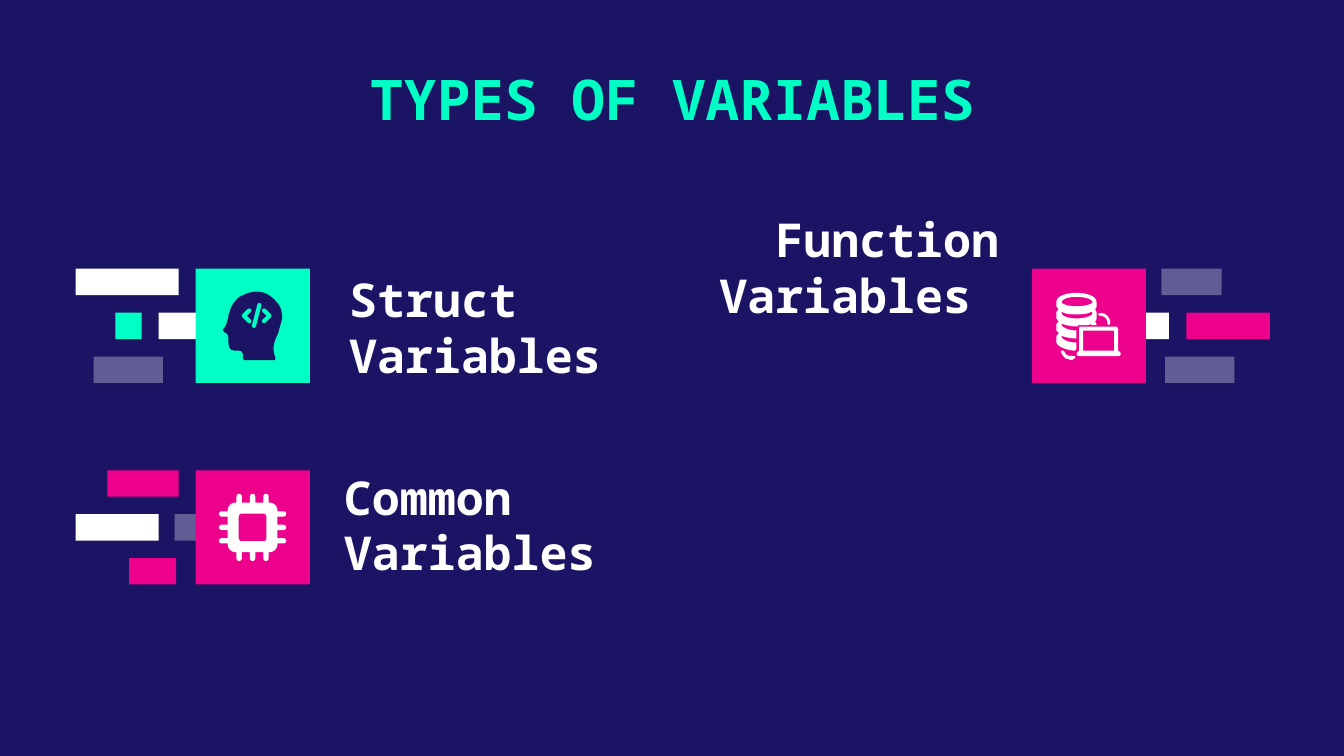
from math import cos, radians, sin

from lxml import etree
from pptx import Presentation
from pptx.dml.color import RGBColor
from pptx.enum.shapes import MSO_SHAPE
from pptx.enum.text import MSO_ANCHOR, PP_ALIGN
from pptx.oxml.ns import qn
from pptx.util import Cm, Pt

RECT = MSO_SHAPE.RECTANGLE
TOP, BOTTOM = MSO_ANCHOR.TOP, MSO_ANCHOR.BOTTOM
LEFT, RIGHT, CENTER = PP_ALIGN.LEFT, PP_ALIGN.RIGHT, PP_ALIGN.CENTER
FONT = "Noto Sans Mono"
COLORS = {"navy": "1B1464", "mint": "00FFC5", "pink": "EC008C", "white": "FFFFFF"}

# Lengths in cm. A bar is (line in its group, left, width, colour); "haze" is sheer white.
TILE, BAR, STEP = 2.16, 0.5, 0.83
GROUPS = [
    {"top": 5.08, "left": 3.7, "color": "mint", "bars": [
        (0, 1.43, 1.95, "white"), (1, 2.18, 0.5, "mint"),
        (1, 3.0, 0.9, "white"), (2, 1.77, 1.31, "haze")]},
    {"top": 5.08, "left": 19.5, "color": "pink", "bars": [
        (0, 21.95, 1.14, "haze"), (1, 21.49, 0.6, "white"),
        (1, 22.42, 1.58, "pink"), (2, 22.02, 1.31, "haze")]},
    {"top": 8.89, "left": 3.7, "color": "pink", "bars": [
        (0, 2.03, 1.35, "pink"), (1, 1.43, 1.57, "white"),
        (1, 3.3, 0.6, "haze"), (2, 2.44, 0.89, "pink")]},
]
# Left, top, alignment, then paragraphs as (text, right indent)
LABELS = [
    (6.35, 6.25, LEFT, [("Struct Variables", 0)]),
    (13.11, 5.11, RIGHT, [("Function", 0), ("Variables", 0.53)]),
    (6.25, 9.98, LEFT, [("Common Variables", 0)]),
]

# Outlines in units of 0.0254 cm: "x,y" is a line, six numbers are a Bezier curve.
UNIT = Cm(0.0254)
HEAD = ("191,217 186,217,182,219,178,221 175,224,172,227,171,232 170,234,170,235,170,236 "
        "169,239,169,241,167,244 166,245,166,245,166,246 167,247,168,248,168,248 "
        "169,248,169,248,169,249 170,249,170,251,170,253 170,255,170,257,171,259 "
        "172,261,175,261,177,261 179,261,180,261,181,264 181,267 181,267,181,268,182,268 "
        "204,268 205,268,205,267,205,266 202,260,204,254,207,248 208,244,209,241,210,237 "
        "210,232,209,228,206,225 202,220,197,217,191,217")
CODE = ["185.5,231 181.5,235 185.5,239", "193,227 189,242.5", "196.5,231 200.5,235 196.5,239"]
DISKS = [
    "801,218 794,218,786,220,786,225 786,228 787,229,787,230,788,230 "
    "787,231,786,232,786,233 786,237 787,238,787,239,788,239 787,240,786,241,786,242 "
    "786,246 787,247,787,247,788,248 787,249,786,250,786,251 786,255 "
    "787,258,794,261,800,261 801,260 801,255 794,255,790,252,790,251 790,250 "
    "793,251,797,252,801,252 801,246 794,246,790,243,790,242 790,241 "
    "793,242,797,243,801,243 802,243 802,242,803,242,804,242 810,242 812,241 812,242 "
    "816,242 816,241,815,240,815,239 815,239,816,238,816,237 816,233 "
    "816,232,815,231,815,230 815,230,816,229,816,228 816,225 816,220,808,218,801,218",
    "801,221 808,221,813,223,813,225 813,226,808,228,801,228 "
    "794,228,790,226,790,225 790,223,794,221,801,221",
    "812,232 813,233 813,235,808,237,801,237 794,237,790,235,790,233 790,232 "
    "793,234,797,234,801,234 805,234,809,234,812,232"]
LAPTOP = ["804,243 803,243,803,244,803,245 803,261 800.5,262,800.5,265,803,265 "
          "832,265 834.5,265,834.5,262,832,261 832,245 832,244,831,243,830,243",
          "829,246 829,261 806,261 806,246"]
SWOOPS = ["791,261 790,261 789,261,789,262,790,263 790,264,792,266,793,267 "
          "795,267,796,268,797,268 798,268,799,267,799,267 801,266,800,265,799,265 "
          "798,265,797,265,797,265 793,265,793,263,792,262 792,261,791,261,791,261",
          "819,233 816.5,233,816.5,235,819,235 821,235,824,237,824,240 "
          "824,242.5,826,242.5,826,240 826,236,823,233,819,233"]


def trace(text):
    """Turn an outline string into points, sampling its curves."""
    pts = []
    for word in text.split():
        nums = [float(n) for n in word.split(",")]
        if len(nums) == 2:
            pts.append(tuple(nums))
            continue
        knots = [pts[-1], *zip(nums[::2], nums[1::2])]
        for t in (n / 8 for n in range(1, 9)):
            mix = ((1 - t) ** 3, 3 * t * (1 - t) ** 2, 3 * t * t * (1 - t), t ** 3)
            pts.append(tuple(sum(m * k[i] for m, k in zip(mix, knots)) for i in (0, 1)))
    return pts


def arc(x, y, r, start, end):
    turns = [radians(start + (end - start) * n / 8) for n in range(9)]
    return [(x + r * cos(a), y + r * sin(a)) for a in turns]


def spin(side, x, y):
    """Repeat one side at four quarter turns about (x, y)."""
    pts = []
    for _ in range(4):
        pts += [(x + a, y + b) for a, b in side]
        side = [(-b, a) for a, b in side]
    return pts


def chip(x, y):
    side = arc(-12.5, -12.5, 6, 180, 270)
    for pin in (-10, 0, 10):
        side += [(pin - 2, -18.5), *arc(pin, -23, 2, 180, 360), (pin + 2, -18.5)]
    return [spin(side, x, y), spin(arc(-8, -8, 2.3, 180, 270), x, y)]


def rgb(name):
    return RGBColor.from_string(COLORS[name])


def paint(shape, color):
    shape.shadow.inherit = False
    shape.line.fill.background()
    shape.fill.solid()
    shape.fill.fore_color.rgb = rgb("white" if color == "haze" else color)
    if color == "haze":
        tone = shape._element.spPr.find(qn("a:solidFill"))[0]
        etree.SubElement(tone, qn("a:alpha"), val="31000")


def box(slide, left, top, width, height, color):
    paint(slide.shapes.add_shape(RECT, Cm(left), Cm(top), Cm(width), Cm(height)), color)


def draw(slide, loops, close=True):
    loops = [[(x * UNIT, y * UNIT) for x, y in loop] for loop in loops]
    pen = slide.shapes.build_freeform(*loops[0][0])
    for n, loop in enumerate(loops):
        if n:
            pen.move_to(*loop[0])
        pen.add_line_segments(loop[1:], close=close)
    return pen.convert_to_shape()


def write(slide, place, lines, size, color, align, anchor, pad):
    frame = slide.shapes.add_textbox(*map(Cm, place)).text_frame
    frame.word_wrap = True
    frame.vertical_anchor = anchor
    frame.margin_top = frame.margin_bottom = Cm(pad)
    for n, (text, inset) in enumerate(lines):
        par = frame.add_paragraph() if n else frame.paragraphs[0]
        par.text, par.alignment = text, align
        par.font.name, par.font.size, par.font.bold = FONT, Pt(size), True
        par.font.color.rgb = rgb(color)
        if inset:
            par._p.get_or_add_pPr().set("marR", str(Cm(inset)))


def main():
    deck = Presentation()
    deck.slide_width, deck.slide_height = Cm(25.4), Cm(14.29)
    slide = deck.slides.add_slide(deck.slide_layouts[6])
    slide.background.fill.solid()
    slide.background.fill.fore_color.rgb = rgb("navy")

    write(slide, (3.56, 0.97, 18.29, 1.85), [("TYPES OF VARIABLES", 0)],
          30, "mint", CENTER, TOP, 0.25)
    for group in GROUPS:
        for row, left, width, color in group["bars"]:
            box(slide, left, group["top"] + row * STEP, width, BAR, color)
        box(slide, group["left"], group["top"], TILE, TILE, group["color"])
    for left, top, align, lines in LABELS:
        write(slide, (left, top, 6.02, 0.99), lines, 25, "white", align, BOTTOM, 0)

    paint(draw(slide, [trace(HEAD)]), "navy")
    for text in CODE:
        mark = draw(slide, [trace(text)], close=False)
        mark.shadow.inherit = False
        mark.fill.background()
        mark.line.color.rgb = rgb("mint")
        mark.line.width = Pt(2.2)
        mark.line._get_or_add_ln().set("cap", "rnd")
    paint(draw(slide, chip(188, 392.5)), "white")
    for part in (DISKS, LAPTOP, SWOOPS[:1], SWOOPS[1:]):
        paint(draw(slide, [trace(text) for text in part]), "white")
    deck.save("out.pptx")


if __name__ == "__main__":
    main()
